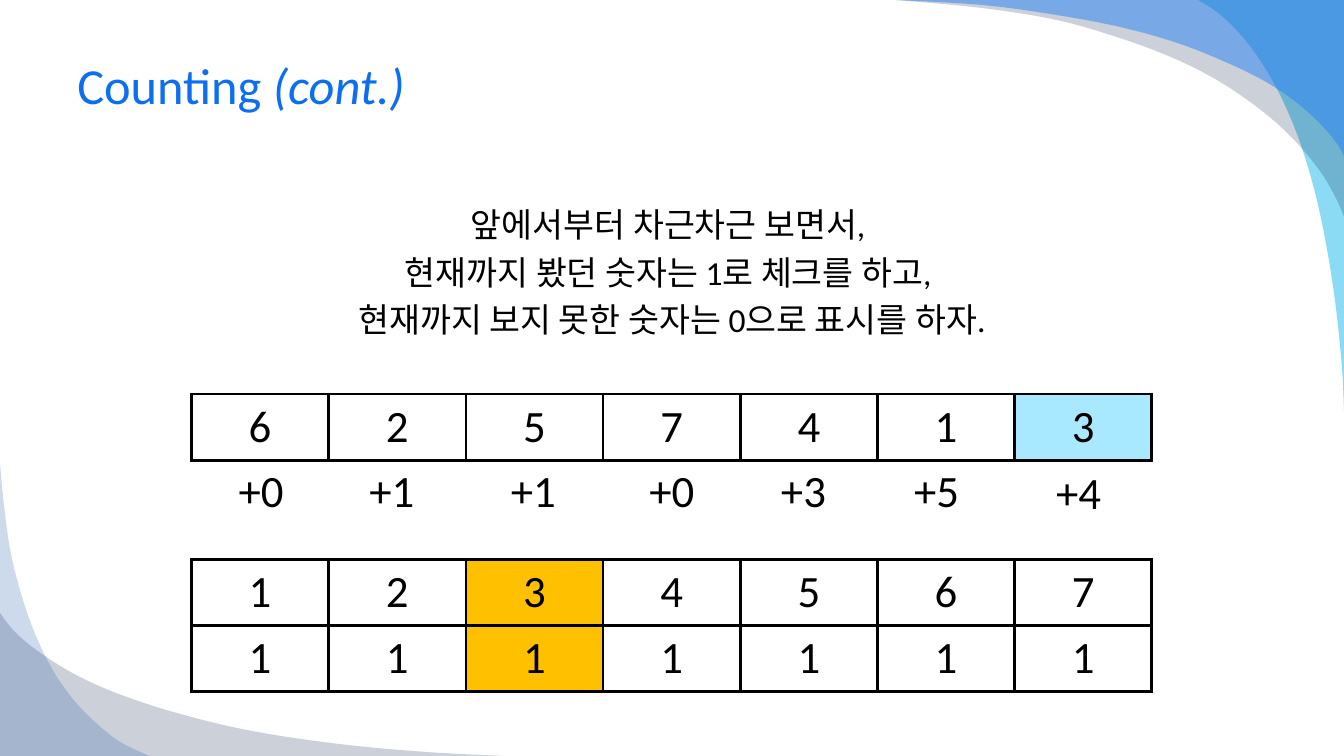
import dataclasses

import pptx
import pptx.dml.color
import pptx.enum.text
import pptx.oxml
import pptx.oxml.ns
import pptx.util

Pt = pptx.util.Pt
Color = pptx.dml.color.RGBColor
Align = pptx.enum.text.PP_ALIGN
Anchor = pptx.enum.text.MSO_ANCHOR
Fit = pptx.enum.text.MSO_AUTO_SIZE

BLACK = Color(0x00, 0x00, 0x00)
WHITE = Color(0xFF, 0xFF, 0xFF)
TITLE = Color(0x0C, 0x6F, 0xF2)
AMBER = Color(0xFF, 0xC0, 0x00)
SKY = Color(0xA8, 0xE9, 0xFF)
CYAN = Color(0x00, 0xB1, 0xE9)
NAVY = Color(0x02, 0x17, 0x41)
AZURE = Color(0x24, 0x7F, 0xF4)
ROYAL = Color(0x08, 0x4A, 0xA1)

FONT = "Calibri"
WIDE, HIGH = 960, 540
LEFT, COL, ROW = 136.8, 98, 47.2
STEPS = 5


@dataclasses.dataclass
class Wave:
    """A corner shape bounded by a smooth curve; lengths in points."""
    color: Color
    alpha: int
    corner: tuple[float, float]
    knots: list[tuple[float, float]]


@dataclasses.dataclass
class Grid:
    """A table of numbers with one marked column."""
    top: float
    rows: list[str]
    mark: int
    tint: Color


@dataclasses.dataclass
class Gain:
    """A count added below a number."""
    text: str
    left: float
    top: float = 326.9


WAVES = [
    Wave(CYAN, 45, (WIDE, 0), [
        (856, 0), (871.2, 10.1), (888.5, 27.4), (904.3, 49.7), (918.7, 77),
        (931.7, 110.9), (943.2, 154.1), (952.6, 207.4), (958.3, 259.2), (960, 293.8)]),
    Wave(NAVY, 20, (WIDE, 0), [
        (640, 0), (702, 5.8), (755.3, 14.4), (800.6, 27.4), (838.8, 41.8), (871.2, 58.3),
        (901.4, 79.2), (923.8, 99.4), (942.5, 121.7), (954, 141.1), (960, 154.8)]),
    Wave(AZURE, 49, (WIDE, 0), [
        (640, 0), (702, 3.6), (755.3, 10.8), (800.6, 19.4), (839.5, 30.2), (871.2, 42.5),
        (901.4, 56.9), (924.5, 72), (942.5, 87.8), (954.7, 102.2), (960, 111.6)]),
    Wave(NAVY, 20, (0, HIGH), [
        (0, 437.8), (11.5, 452.2), (30.2, 467.3), (56.2, 483.1), (87.8, 496.8),
        (128.2, 509.8), (179.3, 522), (241.9, 531.4), (303.8, 537.1), (360, 540)]),
    Wave(ROYAL, 20, (0, HIGH), [
        (0, 329.8), (2.2, 355), (7.2, 392.4), (15.1, 424.1), (24.5, 451.4),
        (37.4, 478.1), (51.8, 499), (68.4, 516.2), (85.7, 529.9), (106.6, 540)]),
]
GRIDS = [Grid(399.4, ["1234567", "1111111"], 2, AMBER), Grid(281.5, ["6257413"], 6, SKY)]
GAINS = [Gain("+0", 150.5), Gain("+1", 244), Gain("+1", 345), Gain("+0", 444),
         Gain("+3", 538), Gain("+5", 633), Gain("+4", 734.5, 328.3)]
LINES = ["앞에서부터 차근차근 보면서, ",
         "현재까지 봤던 숫자는 1로 체크를 하고, ",
         "현재까지 보지 못한 숫자는 0으로 표시를 하자."]


def write(para, text: str, size: float = 32, color: Color = BLACK,
          align: Align = Align.CENTER, slant: bool = False) -> None:
    """Add a formatted run to a paragraph."""
    para.alignment = align
    run = para.add_run()
    run.text = text
    font = run.font
    font.name, font.size, font.bold, font.italic = FONT, Pt(size), False, slant
    font.color.rgb = color


def curve(knots: list[tuple[float, float]]) -> list[tuple[float, float]]:
    """Return points on a Catmull-Rom curve through the knots."""
    ends = [knots[0], *knots, knots[-1]]
    points = [knots[0]]
    for quad in zip(ends, ends[1:], ends[2:], ends[3:]):
        for step in range(1, STEPS + 1):
            t = step / STEPS
            points.append(tuple(
                b + t * (c - a + t * (2 * a - 5 * b + 4 * c - d
                                      + t * (3 * b - 3 * c + d - a))) / 2
                for a, b, c, d in zip(*quad)))
    return points


def draw_wave(slide, wave: Wave) -> None:
    """Draw one translucent corner wave."""
    points = [(Pt(x), Pt(y)) for x, y in [wave.corner, *curve(wave.knots)]]
    pen = slide.shapes.build_freeform(*points[0])
    pen.add_line_segments(points[1:], close=True)
    shape = pen.convert_to_shape()
    shape.shadow.inherit = False
    shape.line.fill.background()
    shape.fill.solid()
    shape.fill.fore_color.rgb = wave.color
    tint = shape._element.spPr.find(".//" + pptx.oxml.ns.qn("a:srgbClr"))
    alpha = pptx.oxml.parse_xml(
        f'<a:alpha {pptx.oxml.ns.nsdecls("a")} val="{wave.alpha * 1000}"/>')
    tint.append(alpha)


def add_edge(cell) -> None:
    """Give a cell a black line on each side."""
    for side in "LRTB":
        cell._tc.get_or_add_tcPr().append(pptx.oxml.parse_xml(
            f'<a:ln{side} {pptx.oxml.ns.nsdecls("a")} w="{Pt(2.25)}">'
            f'<a:solidFill><a:srgbClr val="{BLACK}"/></a:solidFill></a:ln{side}>'))


def draw_grid(slide, grid: Grid) -> None:
    """Draw a table of numbers."""
    count, span = len(grid.rows), len(grid.rows[0])
    table = slide.shapes.add_table(count, span, Pt(LEFT), Pt(grid.top),
                                   Pt(COL * span), Pt(ROW * count)).table
    table.first_row = table.horz_banding = False
    for row, digits in enumerate(grid.rows):
        for col, digit in enumerate(digits):
            cell = table.cell(row, col)
            add_edge(cell)
            cell.fill.solid()
            cell.fill.fore_color.rgb = grid.tint if col == grid.mark else WHITE
            cell.vertical_anchor = Anchor.MIDDLE
            write(cell.text_frame.paragraphs[0], digit)


def draw_gain(slide, gain: Gain) -> None:
    """Draw one count below the upper table."""
    box = slide.shapes.add_textbox(Pt(gain.left), Pt(gain.top), Pt(72), Pt(42))
    box.text_frame.word_wrap = True
    write(box.text_frame.paragraphs[0], gain.text)


def place(slide, holder, top: float, height: float):
    """Move a placeholder to the front and return its text frame."""
    holder.left, holder.top = Pt(48), Pt(top)
    holder.width, holder.height = Pt(864), Pt(height)
    slide.shapes._spTree.append(holder._element)
    holder.text_frame.auto_size = Fit.NONE
    return holder.text_frame


def fill_title(slide) -> None:
    """Write the title."""
    frame = place(slide, slide.shapes.title, 24, 72.5)
    frame.vertical_anchor = Anchor.MIDDLE
    for text, slant in [("Counting ", False), ("(cont.)", True)]:
        write(frame.paragraphs[0], text, size=36, color=TITLE,
              align=Align.LEFT, slant=slant)


def fill_body(slide) -> None:
    """Write the centred lines without bullets."""
    frame = place(slide, slide.placeholders[1], 106.5, 150.5)
    frame.margin_top = Pt(34)
    for index, line in enumerate(LINES):
        para = frame.add_paragraph() if index else frame.paragraphs[0]
        para.line_spacing, para.space_before = Pt(34), Pt(0)
        write(para, line, size=24)
        props = para._p.get_or_add_pPr()
        props.set("marL", "0")
        props.set("indent", "0")
        props.append(pptx.oxml.parse_xml(f'<a:buNone {pptx.oxml.ns.nsdecls("a")}/>'))


def main() -> None:
    """Build and save the slide."""
    deck = pptx.Presentation()
    deck.slide_width, deck.slide_height = Pt(WIDE), Pt(HIGH)
    slide = deck.slides.add_slide(deck.slide_layouts[1])
    for wave in WAVES:
        draw_wave(slide, wave)
    fill_title(slide)
    fill_body(slide)
    for grid in GRIDS:
        draw_grid(slide, grid)
    for gain in GAINS:
        draw_gain(slide, gain)
    deck.save("out.pptx")


main()
